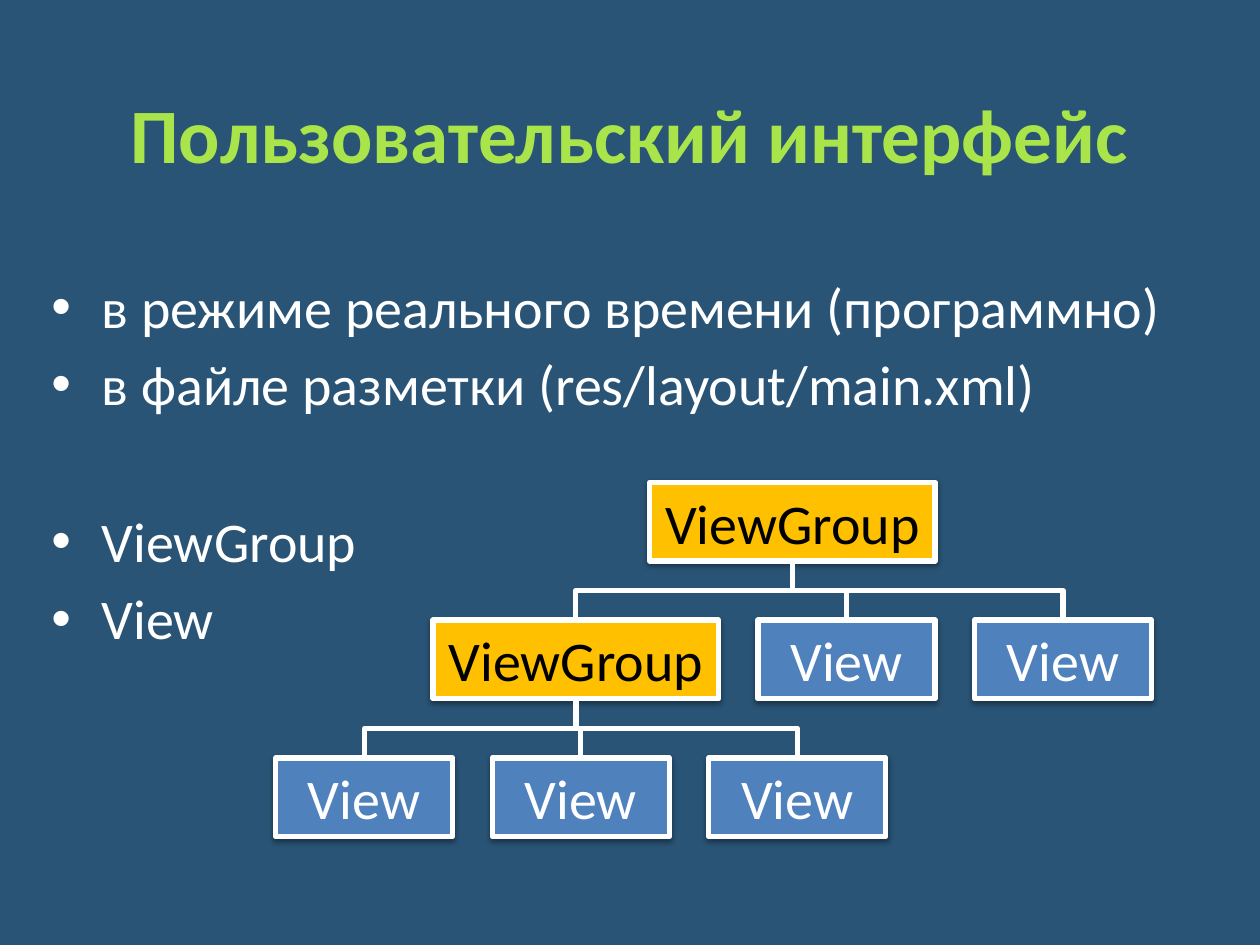
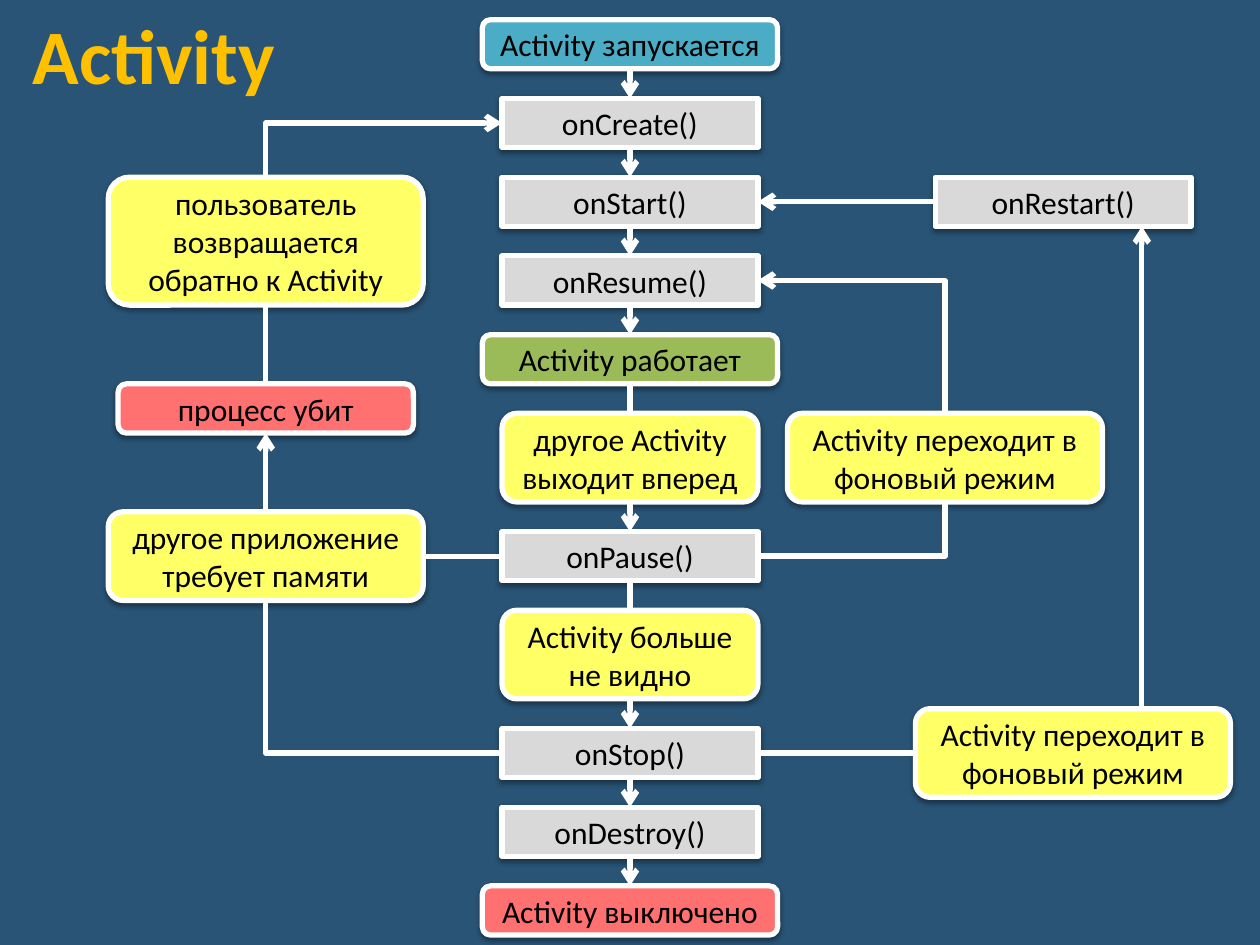
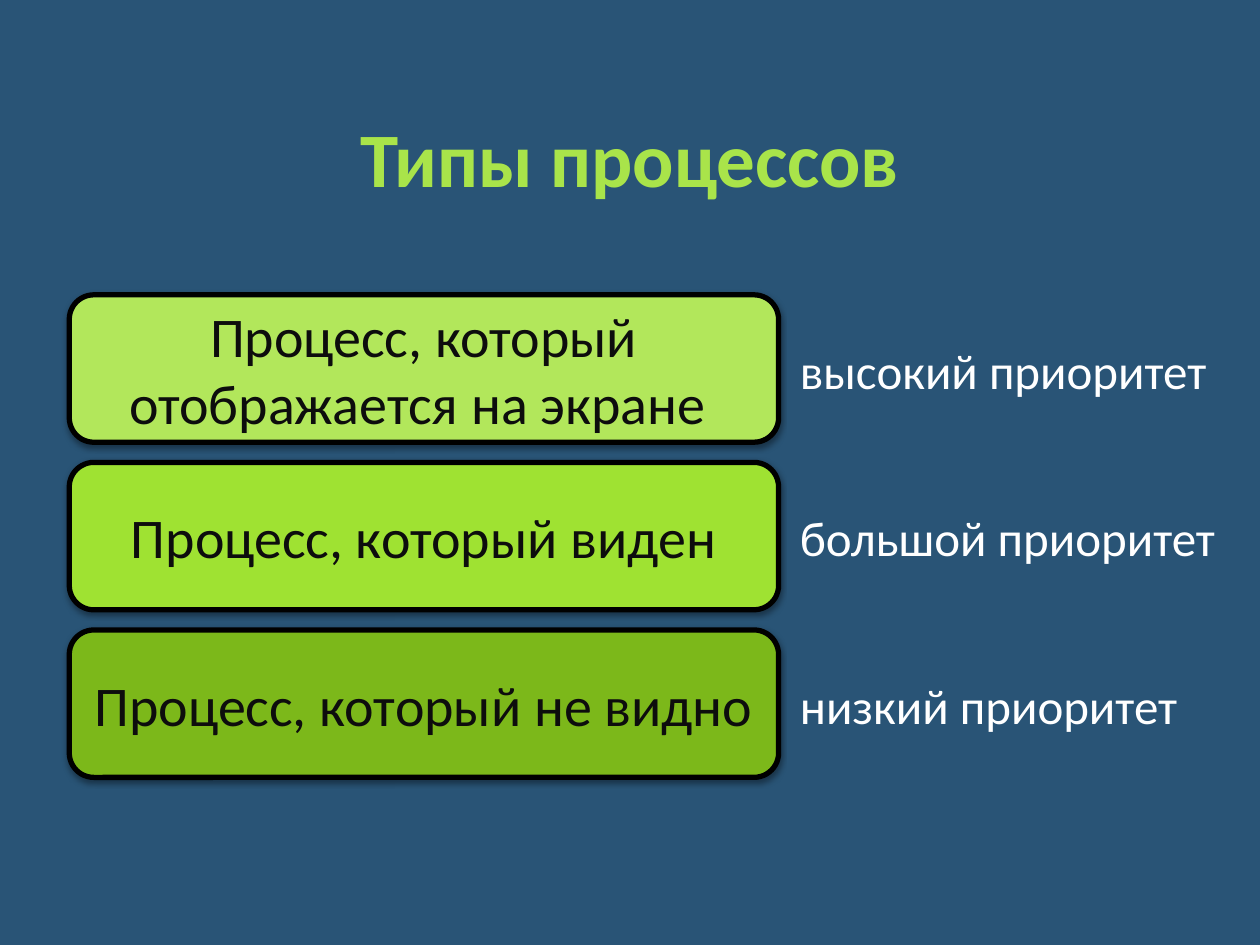
from lxml import etree
from pptx import Presentation, util as u
from pptx.dml.color import RGBColor
from pptx.enum import shapes, text
from pptx.oxml import ns

FONT = "Calibri"
COL = {
    "back": "295476", "head": "A9E44A", "gold": "FFC000", "white": "FFFFFF",
    "black": "000000", "ink": "0D0D0D", "blue": "4F81BD", "teal": "4BACC6",
    "grey": "D9D9D9", "green": "9BBB59", "note": "FFFF66", "red": "FF7171",
    "high": "B2E75B", "mid": "9FE232", "low": "7CB81A",
}
RECT = shapes.MSO_SHAPE.RECTANGLE
ROUND = shapes.MSO_SHAPE.ROUNDED_RECTANGLE
MID = text.MSO_ANCHOR.MIDDLE
LEFT, CENTER = text.PP_ALIGN.LEFT, text.PP_ALIGN.CENTER


def rgb(name):
    return RGBColor.from_string(COL[name])


def cell(n):
    """Length of n cells on a grid of 64 by 48."""
    return u.Inches(n * 10 / 64)


def sub(node, tag, **attrs):
    item = etree.SubElement(node, ns.qn(tag))
    for key, val in attrs.items():
        item.set(key, str(val))
    return item


# Shared parts

def write(para, words, size, color, bold=False, align=LEFT):
    para.alignment = align
    run = para.add_run()
    run.text = words
    font = run.font
    font.name, font.size, font.bold = FONT, u.Pt(size), bold
    font.color.rgb = rgb(color)


def label(slide, box, words, size, color, bold=False, align=LEFT, wrap=True):
    frame = slide.shapes.add_textbox(*map(u.Inches, box)).text_frame
    frame.word_wrap = wrap
    frame.vertical_anchor = MID
    write(frame.paragraphs[0], words, size, color, bold, align)


def title(slide, box, words, color="head", align=CENTER):
    label(slide, box, words, 44, color, True, align)


def block(slide, form, box, words, fill, size, ink="black", edge="white"):
    shape = slide.shapes.add_shape(form, *box)
    shape.fill.solid()
    shape.fill.fore_color.rgb = rgb(fill)
    shape.line.color.rgb = rgb(edge)
    shape.line.width = u.Pt(3)
    # Soft shadow below
    shape.shadow.inherit = False
    fx = shape._element.spPr.find(ns.qn("a:effectLst"))
    cast = sub(fx, "a:outerShdw", blurRad=40000, dist=20000, dir=5400000, rotWithShape=0)
    sub(sub(cast, "a:srgbClr", val=COL["black"]), "a:alpha", val=38000)
    frame = shape.text_frame
    frame.word_wrap = True
    frame.vertical_anchor = MID
    write(frame.paragraphs[0], words, size, ink, align=CENTER)
    return shape


def side(shape, edge):
    """Middle point of the top, bottom, left or right edge."""
    fx, fy = {"t": (.5, 0), "b": (.5, 1), "l": (0, .5), "r": (1, .5)}[edge]
    return shape.left + int(shape.width * fx), shape.top + int(shape.height * fy)


def wire(slide, start, end, form="line", down=False, tip=False):
    """Join two points; a bent wire with down=True leaves vertically."""
    (x1, y1), (x2, y2) = start, end
    if form == "line":
        line = slide.shapes.add_connector(shapes.MSO_CONNECTOR.STRAIGHT, x1, y1, x2, y2)
    else:
        dx, dy = x2 - x1, y2 - y1
        wide, high = (abs(dy), abs(dx)) if down else (abs(dx), abs(dy))
        left, top = (x1 + x2 - wide) // 2, (y1 + y2 - high) // 2
        line = slide.shapes.add_connector(
            shapes.MSO_CONNECTOR.ELBOW, left, top, left + wide, top + high)
        props = line._element.spPr
        props.find(ns.qn("a:prstGeom")).set("prst", form)
        frame = props.find(ns.qn("a:xfrm"))
        back, over = (dy < 0, dx > 0) if down else (dx < 0, dy < 0)
        for key, on, val in (("rot", down, "5400000"), ("flipH", back, "1"),
                             ("flipV", over, "1")):
            if on:
                frame.set(key, val)
    line.line.color.rgb = rgb("white")
    line.line.width = u.Pt(3)
    if tip:
        sub(line.line._get_or_add_ln(), "a:tailEnd", type="arrow")
    sub(line._element.spPr, "a:effectLst")


# Slide 1: interface

def points(slide, box, items):
    frame = slide.shapes.add_textbox(*map(u.Inches, box)).text_frame
    frame.word_wrap = True
    for i, (words, gap) in enumerate(items):
        para = frame.paragraphs[0] if i == 0 else frame.add_paragraph()
        para.space_before = u.Pt(gap)
        props = para._p.get_or_add_pPr()
        props.set("marL", str(u.Inches(0.4)))
        props.set("indent", str(-u.Inches(0.4)))
        sub(props, "a:buFont", typeface="Arial")
        sub(props, "a:buChar", char="•")
        write(para, words, 32, "white")


def tree(slide, x, y):
    def node(dx, row, group=False):
        wide = 14.5 if group else 9
        box = map(cell, (x + dx, y + row * 7, wide, 4))
        look = ("ViewGroup", "gold", 32, "black") if group else ("View", "blue", 32, "white")
        return block(slide, RECT, box, *look)

    root, group = node(19, 0, True), node(8, 1, True)
    top = [group] + [node(dx, 1) for dx in (24.5, 35.5)]
    low = [node(dx, 2) for dx in (0, 11, 22)]
    for head, kids in ((root, top), (group, low)):
        for kid in kids:
            wire(slide, side(head, "b"), side(kid, "t"), "bentConnector3", down=True)


def views(slide):
    title(slide, (0, 0.39, 10, 1.33), "Пользовательский интерфейс")
    points(slide, (0.31, 2.11, 9.3, 4.61), [
        ("в режиме реального времени (программно)", 6),
        ("в файле разметки (res/layout/main.xml)", 6),
        ("ViewGroup", 51), ("View", 6)])
    tree(slide, 14, 24.5)


# Slide 2: life cycle

SPINE = [
    ("Activity запускается", "teal"), ("onCreate()", "grey"), ("onStart()", "grey"),
    ("onResume()", "grey"), ("Activity работает", "green"),
    ("другое Activity выходит вперед", "note"), ("onPause()", "grey"),
    ("Activity больше не видно", "note"), ("onStop()", "grey"),
    ("onDestroy()", "grey"), ("Activity выключено", "red"),
]


def flow(slide, x, y):
    def step(mid, dy, words, fill, wide=None, high=None):
        wide = wide or (13 if fill in ("grey", "note") else 15)
        high = high or (4.5 if fill == "note" else 2.5)
        box = map(cell, (x + mid - wide / 2, y + dy, wide, high))
        return block(slide, RECT if fill == "grey" else ROUND, box, words, fill, 18)

    # Main column
    main, dy = [], 0
    for words, fill in SPINE:
        main.append(step(26.5, dy, words, fill))
        dy += 6 if fill == "note" else 4
    for i, (prev, then) in enumerate(zip(main, main[1:])):
        wire(slide, side(prev, "b"), side(then, "t"), tip=SPINE[i + 1][1] != "note")
    make, start, resume, pause, stop = (main[i] for i in (1, 2, 3, 6, 8))

    # Left branch
    need = step(8, 25, "другое приложение требует памяти", "note", 16)
    kill = step(8, 18.5, "процесс убит", "red")
    back = step(8, 8, "пользователь возвращается обратно к Activity", "note", 16, 6.5)
    wire(slide, side(pause, "l"), side(need, "r"))
    wire(slide, side(need, "t"), side(kill, "b"), tip=True)
    wire(slide, side(kill, "t"), side(back, "b"))
    wire(slide, side(back, "t"), side(make, "l"), "bentConnector2", down=True, tip=True)
    wire(slide, side(stop, "l"), side(need, "b"), "bentConnector2")

    # Right branch
    hide = "Activity переходит в фоновый режим"
    near = step(42.5, 20, hide, "note", 16)
    far = step(49, 35, hide, "note", 16)
    again = step(48.5, 8, "onRestart()", "grey")
    wire(slide, side(pause, "r"), side(near, "b"), "bentConnector2")
    wire(slide, side(near, "t"), side(resume, "r"), "bentConnector2", down=True, tip=True)
    wire(slide, side(stop, "r"), side(far, "l"))
    rise = cell(x + 52.5)
    wire(slide, (rise, far.top), (rise, side(again, "b")[1]), tip=True)
    wire(slide, side(again, "l"), side(start, "r"), tip=True)


def cycle(slide):
    flow(slide, 5.5, 1)
    title(slide, (0.16, 0, 2.19, 0.86), "Activity", "gold", LEFT)


# Slide 3: process types

def ranks(slide, x, y, items):
    for i, (words, fill, rank) in enumerate(items):
        top = y + i * 1.33
        box = map(u.Inches, (x, top, 5.63, 1.17))
        block(slide, ROUND, box, words, fill, 32, "ink", "black")
        label(slide, (x + 5.7, top + 0.31, 3.5, 0.57), rank, 28, "white", wrap=False)


def types(slide):
    title(slide, (0, 0.7, 10, 1.09), "Типы процессов")
    ranks(slide, 0.55, 2.34, [
        ("Процесс, который отображается на экране ", "high", "высокий приоритет"),
        ("Процесс, который виден", "mid", "большой приоритет"),
        ("Процесс, который не видно", "low", "низкий приоритет")])


def main():
    deck = Presentation()
    deck.slide_width, deck.slide_height = u.Inches(10), u.Inches(7.5)
    for build in (views, cycle, types):
        slide = deck.slides.add_slide(deck.slide_layouts[6])
        slide.background.fill.solid()
        slide.background.fill.fore_color.rgb = rgb("back")
        build(slide)
    deck.save("out.pptx")


if __name__ == "__main__":
    main()
